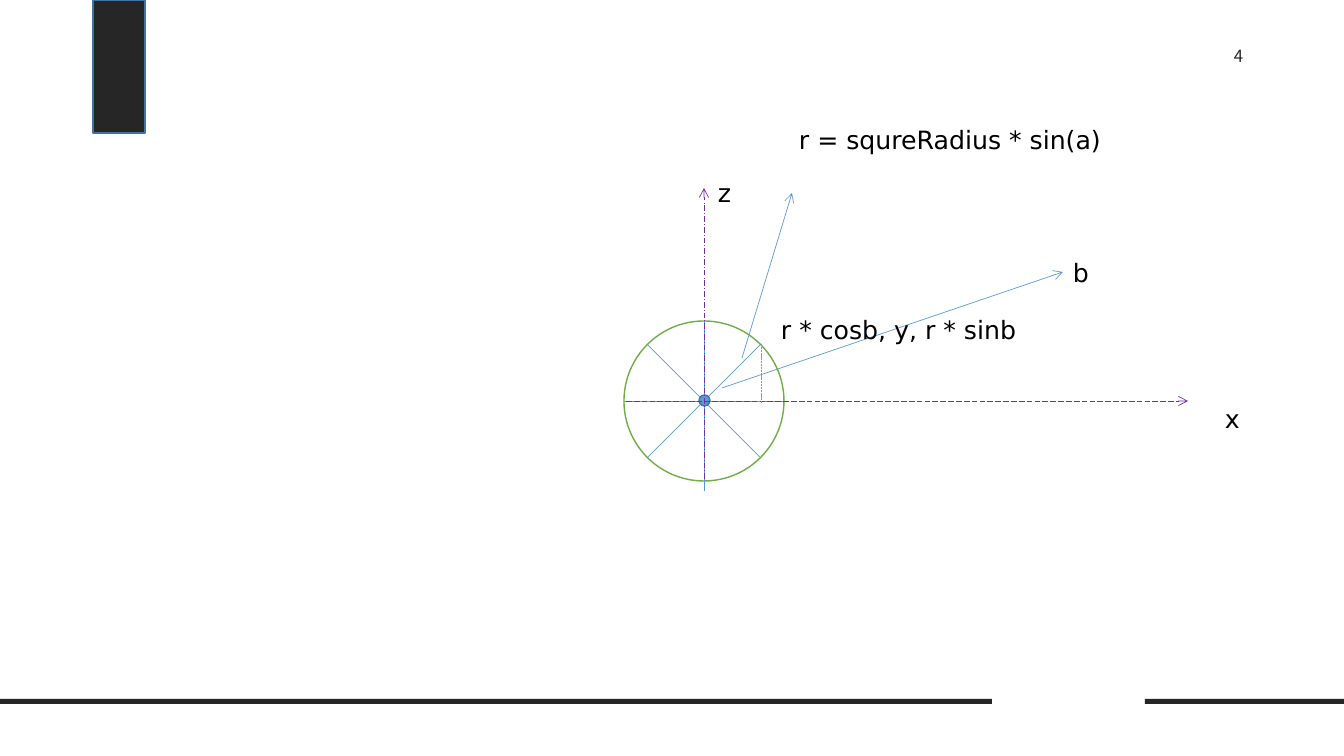
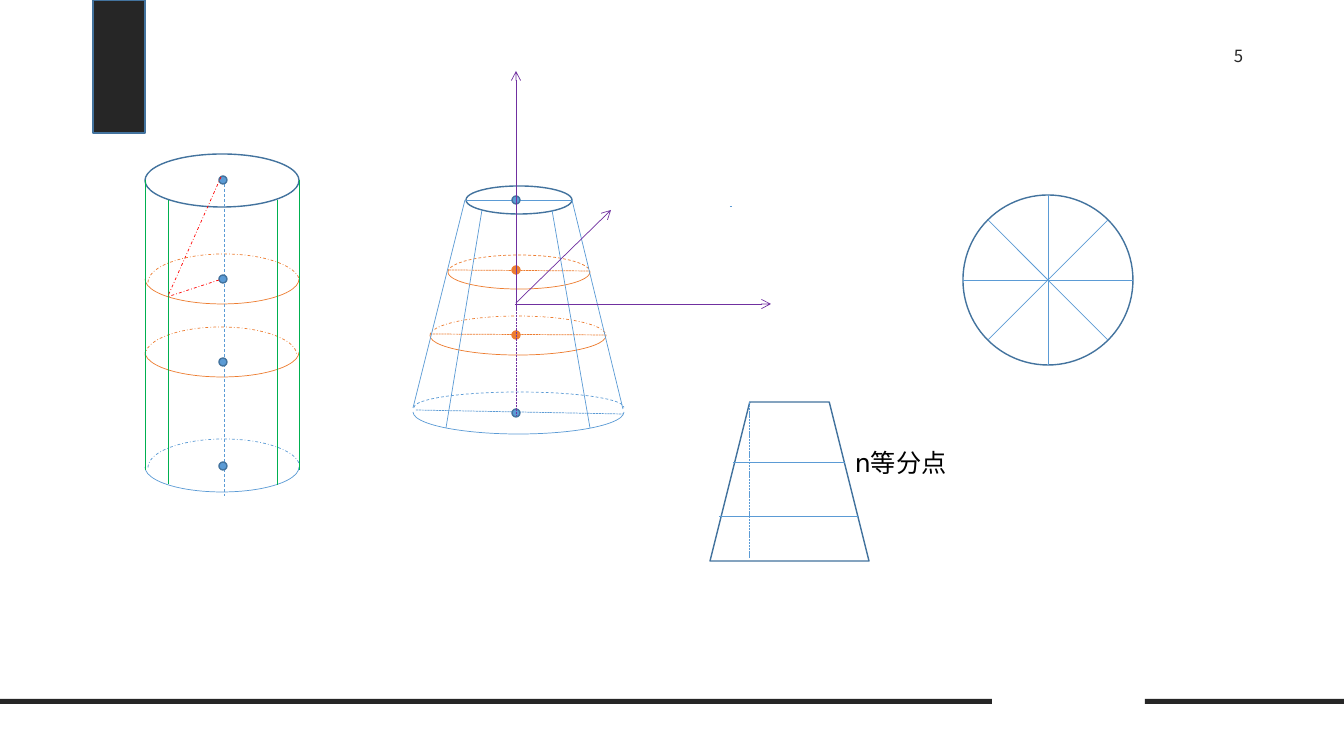
from dataclasses import dataclass
from typing import Any
from lxml import etree
from pptx import Presentation
from pptx import util as u
from pptx.dml.color import RGBColor
from pptx.enum import dml, shapes, text
from pptx.oxml.ns import qn

SCALE = 914400 / 100.8
COLORS = {
    "ink": "262626",
    "black": "000000",
    "blue": "5B9BD5",
    "navy": "43739E",
    "orange": "ED7D31",
    "green": "00B050",
    "lime": "70AD47",
    "purple": "7030A0",
    "red": "FF0000",
}
LATIN_FONT = "DejaVu Sans"
CJK_FONT = "Noto Sans CJK SC"
DASH = dml.MSO_LINE
KIND = shapes.MSO_SHAPE


def px(length):
    return u.Emu(round(length * SCALE))


def rgb(name):
    return RGBColor.from_string(COLORS[name])


@dataclass
class Region:
    slide: Any
    left: int
    top: int

    def shape(self, kind, x, y, w, h, line=None, fill=None, weight=1):
        item = self.slide.shapes.add_shape(
            kind, px(self.left + x), px(self.top + y), px(w), px(h))
        item.shadow.inherit = False
        if fill:
            item.fill.solid()
            item.fill.fore_color.rgb = rgb(fill)
        else:
            item.fill.background()
        if line:
            item.line.color.rgb = rgb(line)
            item.line.width = u.Pt(weight)
        else:
            item.line.fill.background()
        return item

    def arc(self, box, start, end, color, dash=None):
        curve = self.shape(KIND.ARC, *box, line=color, weight=0.5)
        curve.adjustments[0] = start * 0.6
        curve.adjustments[1] = end * 0.6
        if dash:
            curve.line.dash_style = dash

    def ring(self, back, front, color, dash):
        self.arc(back, 180, 0, color, dash)
        self.arc(front, 0, 180, color)

    def dot(self, x, y, size=8, line="navy", fill="blue"):
        self.shape(KIND.OVAL, x, y, size, size, line, fill)

    def line(self, x1, y1, x2, y2, color="blue", dash=None, arrow=False):
        stroke = self.slide.shapes.add_connector(
            shapes.MSO_CONNECTOR.STRAIGHT,
            px(self.left + x1), px(self.top + y1),
            px(self.left + x2), px(self.top + y2))
        stroke.line.color.rgb = rgb(color)
        stroke.line.width = u.Pt(0.5)
        if dash:
            stroke.line.dash_style = dash
        properties = stroke._element.spPr
        if arrow:
            etree.SubElement(properties.find(qn("a:ln")), qn("a:tailEnd"), type="arrow")
        etree.SubElement(properties, qn("a:effectLst"))

    def label(self, words, x, y, w, h=40, size=18, font=LATIN_FONT, color="black"):
        box = self.slide.shapes.add_textbox(
            px(self.left + x), px(self.top + y), px(w), px(h))
        frame = box.text_frame
        frame.word_wrap = True
        run = frame.paragraphs[0].add_run()
        run.text = words
        run.font.size = u.Pt(size)
        run.font.color.rgb = rgb(color)
        run.font.name = font
        etree.SubElement(run._r.get_or_add_rPr(), qn("a:ea"), typeface=CJK_FONT)
        return frame


def page(deck, number):
    slide = deck.slides.add_slide(deck.slide_layouts[6])
    frame = Region(slide, 0, 0)
    frame.shape(KIND.RECTANGLE, 93, 0, 52, 133, "navy", "ink")
    for left, width in ((0, 992), (1145, 199)):
        frame.shape(KIND.RECTANGLE, left, 699, width, 5, fill="ink")
    folio = frame.label(str(number), 1193, 36, 91, 45, 12, CJK_FONT, "ink")
    folio.margin_top = folio.margin_bottom = px(10)
    folio.paragraphs[0].alignment = text.PP_ALIGN.CENTER
    return slide


def spoked_circle(slide, left, top, size, outline, overhang=0):
    region = Region(slide, left, top)
    region.shape(KIND.OVAL, 0, 0, size, size, outline)
    middle = size // 2
    reach = round(middle * 0.707)
    near, far = middle - reach, middle + reach
    region.line(near, near, far, far)
    region.line(near, far, far, near)
    region.line(middle, 0, middle, size + overhang)
    region.line(0, middle, size, middle)


def polar_diagram(slide, left, top):
    region = Region(slide, left, top)
    spoked_circle(slide, left, top + 202, 160, "lime", 10)
    region.dot(75, 276, 11)
    region.line(2, 282, 564, 282, "purple", DASH.LONG_DASH, True)
    region.line(80, 360, 80, 69, "purple", DASH.LONG_DASH_DOT, True)
    region.line(118, 239, 168, 74, arrow=True)
    region.line(98, 269, 439, 153, arrow=True)
    region.line(137, 225, 137, 284, "orange", DASH.SQUARE_DOT)
    for words, x, y, width in (
        ("z", 84, 53, 85),
        ("x", 591, 279, 70),
        ("r = squreRadius * sin(a)", 165, 0, 433),
        ("b", 439, 133, 113),
        ("r * cosb, y, r * sinb", 147, 190, 386),
    ):
        region.label(words, x, y, width)


def cylinder(slide, left, top):
    region = Region(slide, left, top)
    region.shape(KIND.OVAL, 0, 0, 154, 53, "navy")
    for back_left, back_top, front_top, color in (
        (3, 100, 100, "orange"), (0, 173, 173, "orange"), (3, 285, 288, "blue"),
    ):
        region.ring((back_left, back_top, 152, 57), (0, front_top, 154, 50),
                    color, DASH.DASH_DOT)
    for x, start, end in ((0, 26, 316), (23, 46, 330), (132, 46, 331), (154, 26, 316)):
        region.line(x, start, x, end, "green")
    region.line(79, 30, 79, 342, "blue", DASH.DASH)
    for y in (22, 121, 204, 308):
        region.dot(74, y)
    region.line(74, 126, 22, 143, "red", DASH.DASH_DOT)
    region.line(76, 23, 23, 142, "red", DASH.DASH_DOT)


def frustum(slide, left, top):
    region = Region(slide, left, top)
    region.shape(KIND.OVAL, 53, 115, 106, 28, "navy")
    for back, front, color, dash in (
        ((1, 321, 210, 31), (0, 319, 211, 44), "blue", DASH.DASH),
        ((35, 184, 142, 34), (35, 184, 142, 34), "orange", DASH.DASH),
        ((17, 245, 176, 39), (17, 245, 176, 39), "orange", DASH.DASH_DOT),
    ):
        region.ring(back, front, color, dash)
    for x1, y1, x2, y2, color, dash in (
        (53, 129, 159, 129, "blue", None),
        (36, 199, 177, 200, "orange", DASH.SQUARE_DOT),
        (17, 263, 194, 264, "orange", DASH.SQUARE_DOT),
        (3, 339, 210, 343, "blue", DASH.SQUARE_DOT),
    ):
        region.line(x1, y1, x2, y2, color, dash)
    for side in (
        (159, 129, 210, 338), (52, 129, 0, 337),
        (139, 139, 177, 357), (69, 139, 33, 357),
    ):
        region.line(*side)
    for y, line, fill in (
        (125, "navy", "blue"), (195, "orange", "orange"),
        (260, "orange", "orange"), (338, "navy", "blue"),
    ):
        region.dot(99, y, 8, line, fill)
    region.line(103, 128, 103, 345, "purple", DASH.ROUND_DOT)
    region.line(317, 135, 319, 135)
    for axis in ((102, 233, 358, 233), (103, 237, 103, 0), (103, 232, 198, 139)):
        region.line(*axis, "purple", arrow=True)


def divided_trapezoid(slide, left, top, size):
    region = Region(slide, left, top)
    region.shape(KIND.TRAPEZOID, 0, 0, size, size, "navy")
    region.line(23, 60, 135, 60)
    region.line(9, 114, 149, 114)
    region.line(39, 0, 39, 156, "blue", DASH.SQUARE_DOT)
    region.label("n等分点", 135, 40, 203)


def main():
    deck = Presentation()
    deck.slide_width = px(1344)
    deck.slide_height = px(756)
    polar_diagram(page(deck, 4), 624, 119)
    solids = page(deck, 5)
    cylinder(solids, 145, 154)
    frustum(solids, 413, 71)
    spoked_circle(solids, 963, 195, 170, "navy")
    divided_trapezoid(solids, 710, 402, 159)
    deck.save("out.pptx")


if __name__ == "__main__":
    main()
